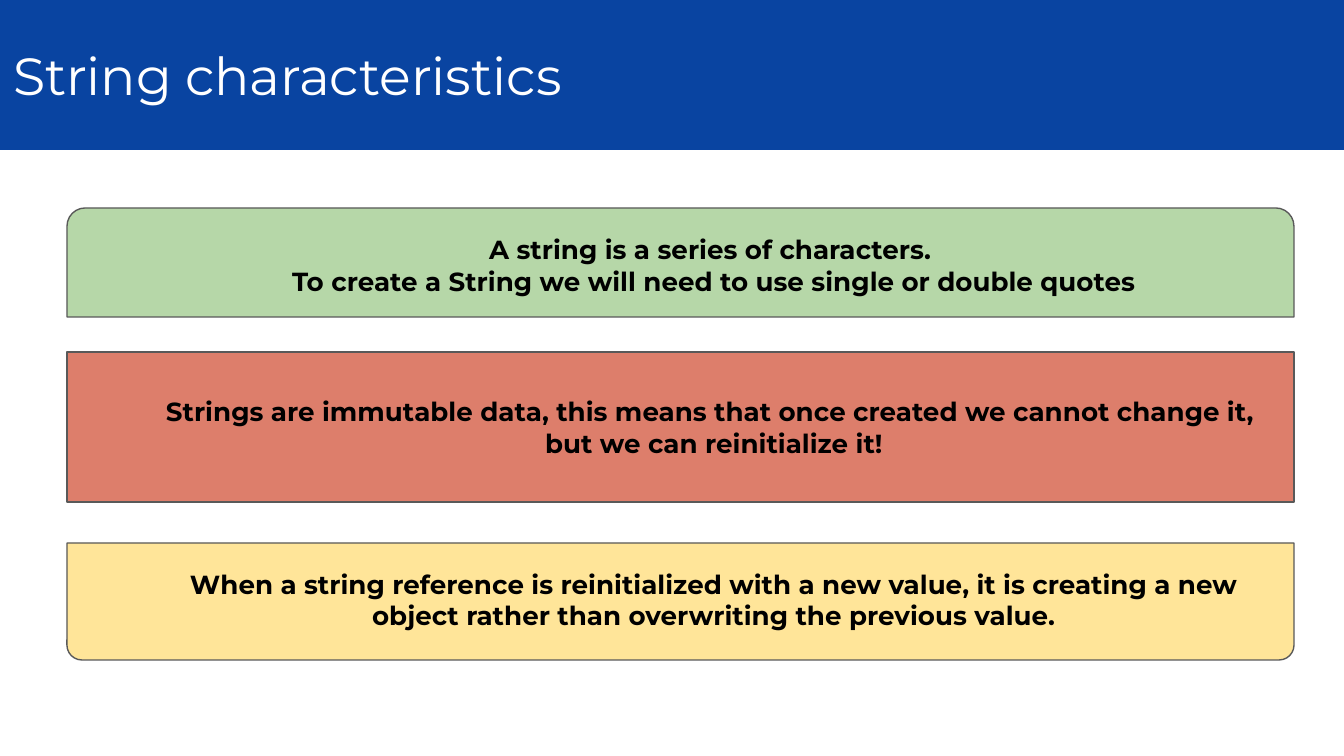
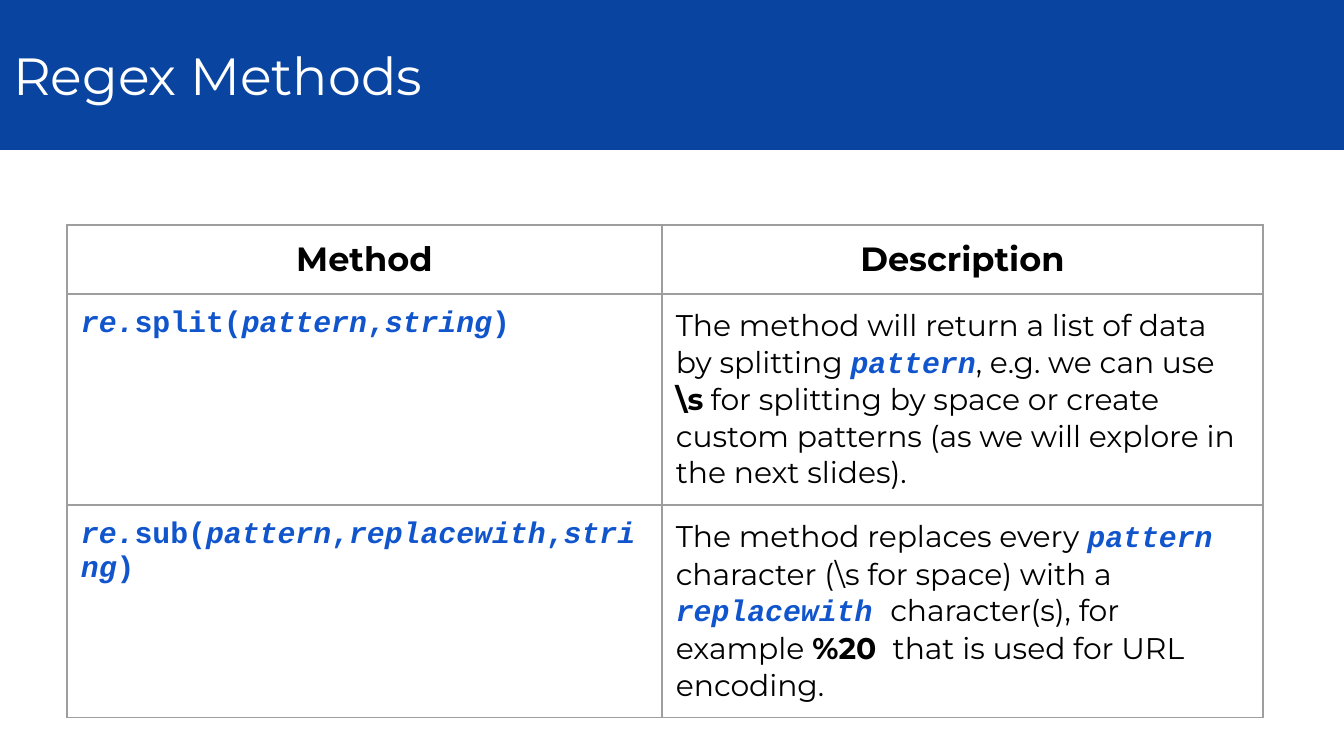
from dataclasses import dataclass

from lxml.etree import SubElement
from pptx import Presentation
from pptx.dml.color import RGBColor
from pptx.enum.shapes import MSO_SHAPE
from pptx.enum.text import MSO_ANCHOR, MSO_AUTO_SIZE, PP_ALIGN
from pptx.oxml.ns import qn
from pptx.util import Emu, Pt


@dataclass(frozen=True)
class Theme:
    blue: str = "0944A1"
    white: str = "FFFFFF"
    black: str = "000000"
    code: str = "1155CC"
    green: str = "B6D7A8"
    red: str = "DD7E6B"
    yellow: str = "FFE599"
    outline: str = "595959"
    grid: str = "9E9E9E"
    sans: str = "Montserrat"
    mono: str = "Courier New"
    plain: str = "Arial"
    title_size: int = 28
    head_size: int = 18
    body_size: int = 16
    box_size: int = 14
    line: float = 0.75


T = Theme()
W, H = 1344, 756
BAND_H = 150
LEFT = 67
INSET = 13
CELL_INSET = 14
INDENT = 67

STYLES = {
    "title": (T.sans, T.title_size, T.white, False, False),
    "box": (T.sans, T.box_size, T.black, True, False),
    "head": (T.sans, T.head_size, T.black, True, False),
    "text": (T.sans, T.body_size, T.black, False, False),
    "strong": (T.sans, T.body_size, T.black, True, False),
    "gap": (T.plain, T.box_size, T.black, False, False),
    "code": (T.mono, T.body_size, T.code, True, False),
    "arg": (T.mono, T.body_size, T.code, True, True),
}

BOXES = [
    (MSO_SHAPE.ROUND_2_SAME_RECTANGLE, (0.167, 0), 208, 109, T.green,
     "A string is a series of characters. \vTo create a String we will need to use single or double quotes"),
    (MSO_SHAPE.RECTANGLE, (), 352, 150, T.red,
     "Strings are immutable data, this means that once created we cannot change it, \n"
     "but we can reinitialize it!"),
    (MSO_SHAPE.ROUND_2_SAME_RECTANGLE, (0, 0.127), 543, 117, T.yellow,
     "When a string reference is reinitialized with a new value, it is creating a new object "
     "rather than overwriting the previous value."),
]


def px(n):
    return Emu(round(n * 914400 / 134.4))


def rgb(value):
    return RGBColor.from_string(value)


def style_run(r, style):
    name, size, color, bold, italic = STYLES[style]
    r.font.name = name
    r.font.size = Pt(size)
    r.font.color.rgb = rgb(color)
    r.font.bold = bold
    r.font.italic = italic


def style_paragraphs(tf, style, align):
    for p in tf.paragraphs:
        p.alignment = align
        for r in p.runs:
            style_run(r, style)


def set_insets(item, inset):
    item.margin_left = item.margin_right = px(inset)
    item.margin_top = item.margin_bottom = px(inset)


def add_titled_slide(prs, text):
    s = prs.slides.add_slide(prs.slide_layouts[5])
    title = s.shapes.title
    title.left, title.top, title.width, title.height = px(0), px(0), px(W), px(BAND_H)
    title.fill.solid()
    title.fill.fore_color.rgb = rgb(T.blue)
    tf = title.text_frame
    tf.text = text
    tf.auto_size = MSO_AUTO_SIZE.NONE
    tf.vertical_anchor = MSO_ANCHOR.MIDDLE
    set_insets(tf, INSET)
    style_paragraphs(tf, "title", PP_ALIGN.LEFT)
    return s


def add_box(s, kind, corners, top, height, color, text):
    sp = s.shapes.add_shape(kind, px(LEFT), px(top), px(1227), px(height))
    for i, value in enumerate(corners):
        sp.adjustments[i] = value
    sp.shadow.inherit = False
    sp.fill.solid()
    sp.fill.fore_color.rgb = rgb(color)
    sp.line.color.rgb = rgb(T.outline)
    sp.line.width = Pt(T.line)
    tf = sp.text_frame
    tf.text = text
    tf.word_wrap = True
    tf.vertical_anchor = MSO_ANCHOR.MIDDLE
    set_insets(tf, INSET)
    style_paragraphs(tf, "box", PP_ALIGN.CENTER)
    for p in tf.paragraphs:
        pPr = p._p.get_or_add_pPr()
        pPr.set("marL", str(px(INDENT)))
        pPr.set("indent", "0")


def set_borders(cell):
    tcPr = cell._tc.get_or_add_tcPr()
    for side in ("lnL", "lnR", "lnT", "lnB"):
        ln = SubElement(tcPr, qn(f"a:{side}"), w=str(Pt(T.line)))
        fill = SubElement(ln, qn("a:solidFill"))
        SubElement(fill, qn("a:srgbClr"), val=T.grid)


def fill_cell(cell, pieces, align):
    set_insets(cell, CELL_INSET)
    set_borders(cell)
    cell.fill.background()
    p = cell.text_frame.paragraphs[0]
    p.alignment = align
    for style, text in pieces:
        r = p.add_run()
        r.text = text
        style_run(r, style)


def add_table(s, top, widths, heights, rows):
    frame = s.shapes.add_table(len(heights), len(widths), px(LEFT), px(top),
                               px(sum(widths)), px(sum(heights)))
    table = frame.table
    table.first_row = table.horz_banding = False
    for column, width in zip(table.columns, widths):
        column.width = px(width)
    for row, height in zip(table.rows, heights):
        row.height = px(height)
    for i, row in enumerate(rows):
        for j, pieces in enumerate(row):
            fill_cell(table.cell(i, j), pieces, PP_ALIGN.LEFT if i else PP_ALIGN.CENTER)


def signature(name, *args):
    pieces = [("arg", "re."), ("code", f"{name}(")]
    for i, arg in enumerate(args):
        if i:
            pieces.append(("code", ","))
        pieces.append(("arg", arg))
    return pieces + [("code", ")")]


def method_rows():
    return [
        [[("head", "Method")], [("head", "Description")]],
        [signature("split", "pattern", "string"),
         [("text", "The method will return a list of data by splitting "),
          ("arg", "pattern"),
          ("text", ", e.g. we can use "),
          ("strong", "\\s"),
          ("gap", " "),
          ("text", "for splitting by space or create custom patterns "
                   "(as we will explore in the next slides).")]],
        [signature("sub", "pattern", "replacewith", "string"),
         [("text", "The method replaces every "),
          ("arg", "pattern "),
          ("text", "character (\\s for space) with a "),
          ("arg", "replacewith "),
          ("text", "character(s), for example "),
          ("strong", "%20 "),
          ("text", " that is used for URL encoding.")]],
    ]


def main():
    prs = Presentation()
    prs.slide_width, prs.slide_height = px(W), px(H)
    s = add_titled_slide(prs, "String characteristics")
    for box in BOXES:
        add_box(s, *box)
    s = add_titled_slide(prs, "Regex Methods")
    add_table(s, 225, (595, 601), (68, 209, 212), method_rows())
    prs.save("out.pptx")


if __name__ == "__main__":
    main()
